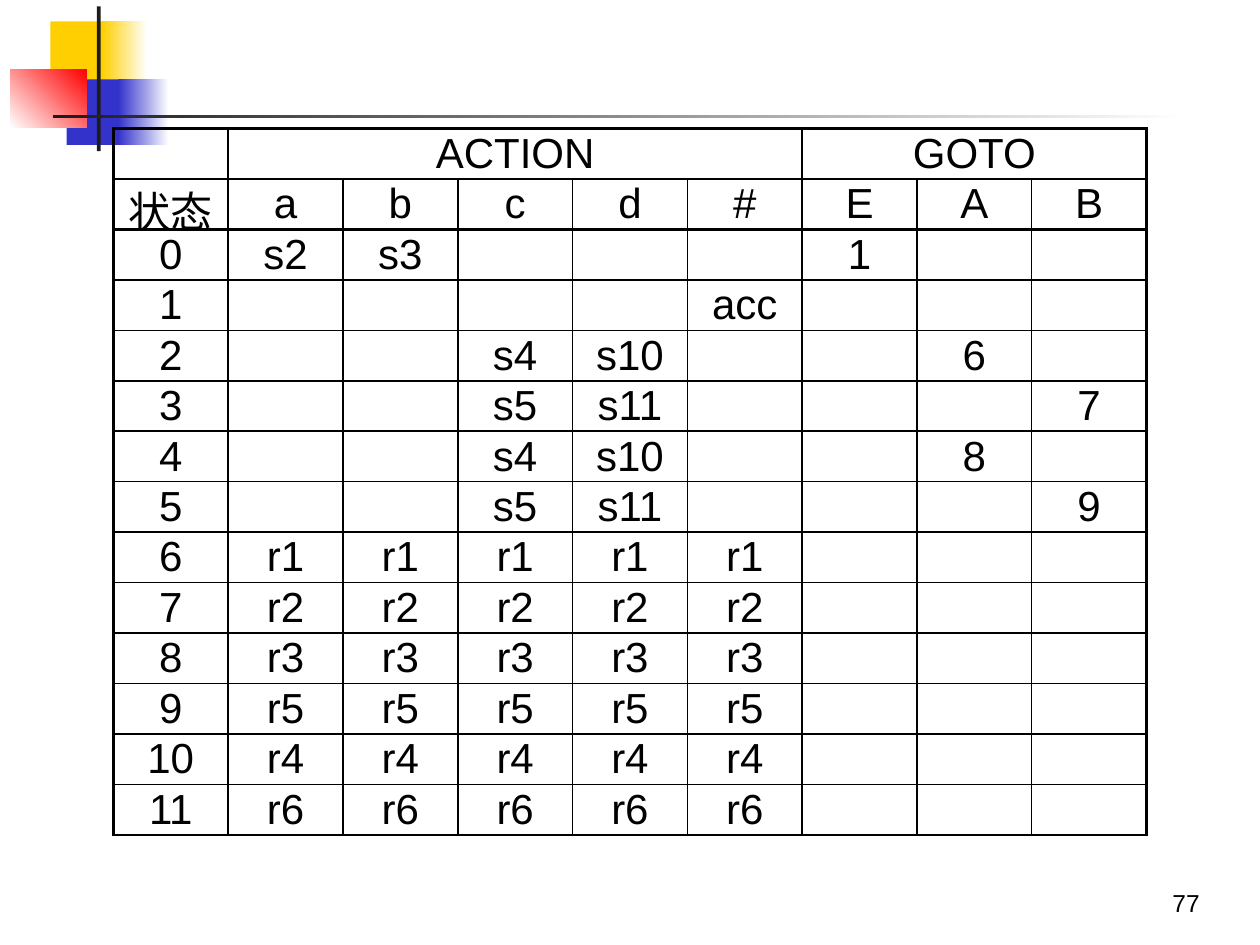
"""Build the LR parsing table slide with its ACTION and GOTO columns."""
from dataclasses import dataclass
from typing import Any, Optional

from lxml import etree
from pptx import Presentation
from pptx import util as u
from pptx.dml.color import RGBColor
from pptx.enum import shapes, text
from pptx.oxml import ns

COLORS = {
    "black": "000000",
    "ink": "1C1C1C",
    "white": "FFFFFF",
    "yellow": "FFCF01",
    "blue": "3333CC",
    "red": "FF0000",
}


@dataclass
class Block:
    """A decorative rectangle in points, with an optional gradient end."""
    left: float
    top: float
    width: float
    height: float
    color: str
    end_color: Optional[str] = None
    angle: float = 0


BLOCKS = [
    Block(28.8, 12.24, 34.56, 37.44, "yellow"),
    Block(58.32, 12.24, 25.92, 37.44, "yellow", "white"),
    Block(38.16, 45.36, 33.12, 37.44, "blue"),
    Block(67.68, 45.36, 28.8, 37.44, "blue", "white"),
    Block(5.76, 39.6, 43.92, 33.12, "white", "red", 45),
    Block(55.44, 3.6, 2.16, 82.8, "ink"),
    Block(30.24, 65.52, 648, 2.16, "ink", "white"),
]

REDUCTIONS = {6: "r1", 7: "r2", 8: "r3", 9: "r5", 10: "r4", 11: "r6"}
ROWS = [
    ["", "ACTION", "", "", "", "", "GOTO", "", ""],
    ["状态", "a", "b", "c", "d", "#", "E", "A", "B"],
    ["0", "s2", "s3", "", "", "", "1", "", ""],
    ["1", "", "", "", "", "acc", "", "", ""],
    ["2", "", "", "s4", "s10", "", "", "6", ""],
    ["3", "", "", "s5", "s11", "", "", "", "7"],
    ["4", "", "", "s4", "s10", "", "", "8", ""],
    ["5", "", "", "s5", "s11", "", "", "", "9"],
] + [[str(state)] + [rule] * 5 + [""] * 3 for state, rule in REDUCTIONS.items()]

HEADER_SPANS = [(1, 5), (6, 8)]
THICK_COLUMN_EDGES = {0, 1, 6, 9}
THICK_ROW_EDGES = {0, 2, len(ROWS)}
TABLE_HEIGHT = 403.2
ROW_HEIGHT = 22.32

CELL_FORMAT = {
    "margin_left": u.Pt(1.44),
    "margin_right": u.Pt(1.44),
    "margin_top": 0,
    "margin_bottom": 0,
    "vertical_anchor": text.MSO_ANCHOR.MIDDLE,
}
CELL_FONT = {"name": "Arial", "size": u.Pt(24), "bold": False}
NUMBER_FONT = {"name": "Arial", "size": u.Pt(14)}


def rgb(name: str) -> RGBColor:
    """Return the named colour."""
    return RGBColor.from_string(COLORS[name])


def apply_format(target: Any, values: dict[str, Any]) -> None:
    """Set every format value on the target."""
    for name, value in values.items():
        setattr(target, name, value)


def write_text(paragraph: Any, words: str, alignment: Any, font: dict[str, Any]) -> None:
    """Write one black run into a paragraph."""
    paragraph.alignment = alignment
    run = paragraph.add_run()
    run.text = words
    apply_format(run.font, font)
    run.font.color.rgb = rgb("black")


def draw_block(slide: Any, block: Block) -> None:
    """Draw a decorative rectangle."""
    frame = map(u.Pt, (block.left, block.top, block.width, block.height))
    shape = slide.shapes.add_shape(shapes.MSO_SHAPE.RECTANGLE, *frame)
    shape.shadow.inherit = False
    shape.line.fill.background()
    if block.end_color is None:
        shape.fill.solid()
        shape.fill.fore_color.rgb = rgb(block.color)
        return
    shape.fill.gradient()
    shape.fill.gradient_angle = block.angle
    for stop, color in zip(shape.fill.gradient_stops, (block.color, block.end_color)):
        stop.color.rgb = rgb(color)


def set_borders(cell: Any, row: int, column: int) -> None:
    """Give a cell thick borders on group edges and thin ones elsewhere."""
    properties = cell._tc.get_or_add_tcPr()
    edges = [
        ("a:lnL", column in THICK_COLUMN_EDGES),
        ("a:lnR", column + cell.span_width in THICK_COLUMN_EDGES),
        ("a:lnT", row in THICK_ROW_EDGES),
        ("a:lnB", row + 1 in THICK_ROW_EDGES),
    ]
    for position, (tag, thick) in enumerate(edges):
        line = etree.Element(ns.qn(tag), w=str(u.Pt(1.5 if thick else 1)))
        fill = etree.SubElement(line, ns.qn("a:solidFill"))
        etree.SubElement(fill, ns.qn("a:srgbClr"), val=COLORS["black"])
        properties.insert(position, line)


def draw_table(slide: Any) -> None:
    """Draw the parsing table."""
    shape = slide.shapes.add_table(
        len(ROWS), len(ROWS[0]), u.Pt(64.8), u.Pt(73.44), u.Pt(590.4), u.Pt(TABLE_HEIGHT))
    table = shape.table
    apply_format(table, {"first_row": False, "horz_banding": False})
    for row in table.rows:
        row.height = u.Pt(ROW_HEIGHT)
    shape.height = u.Pt(TABLE_HEIGHT)
    for first, last in HEADER_SPANS:
        table.cell(0, first).merge(table.cell(0, last))
    for row, values in enumerate(ROWS):
        for column, words in enumerate(values):
            cell = table.cell(row, column)
            apply_format(cell, CELL_FORMAT)
            cell.fill.background()
            if words:
                write_text(cell.text_frame.paragraphs[0], words, text.PP_ALIGN.CENTER, CELL_FONT)
            if not cell.is_spanned:
                set_borders(cell, row, column)


def draw_slide_number(slide: Any, number: str) -> None:
    """Write the slide number at the lower right."""
    box = slide.shapes.add_textbox(u.Pt(542.88), u.Pt(491.76), u.Pt(149.76), u.Pt(36))
    apply_format(box.text_frame, {"word_wrap": True, "vertical_anchor": text.MSO_ANCHOR.BOTTOM})
    write_text(box.text_frame.paragraphs[0], number, text.PP_ALIGN.RIGHT, NUMBER_FONT)


def main() -> None:
    """Build and save the presentation."""
    presentation = Presentation()
    apply_format(presentation, {"slide_width": u.Pt(720), "slide_height": u.Pt(540)})
    slide = presentation.slides.add_slide(presentation.slide_layouts[6])
    for block in BLOCKS:
        draw_block(slide, block)
    draw_slide_number(slide, "77")
    draw_table(slide)
    presentation.save("out.pptx")


if __name__ == "__main__":
    main()
